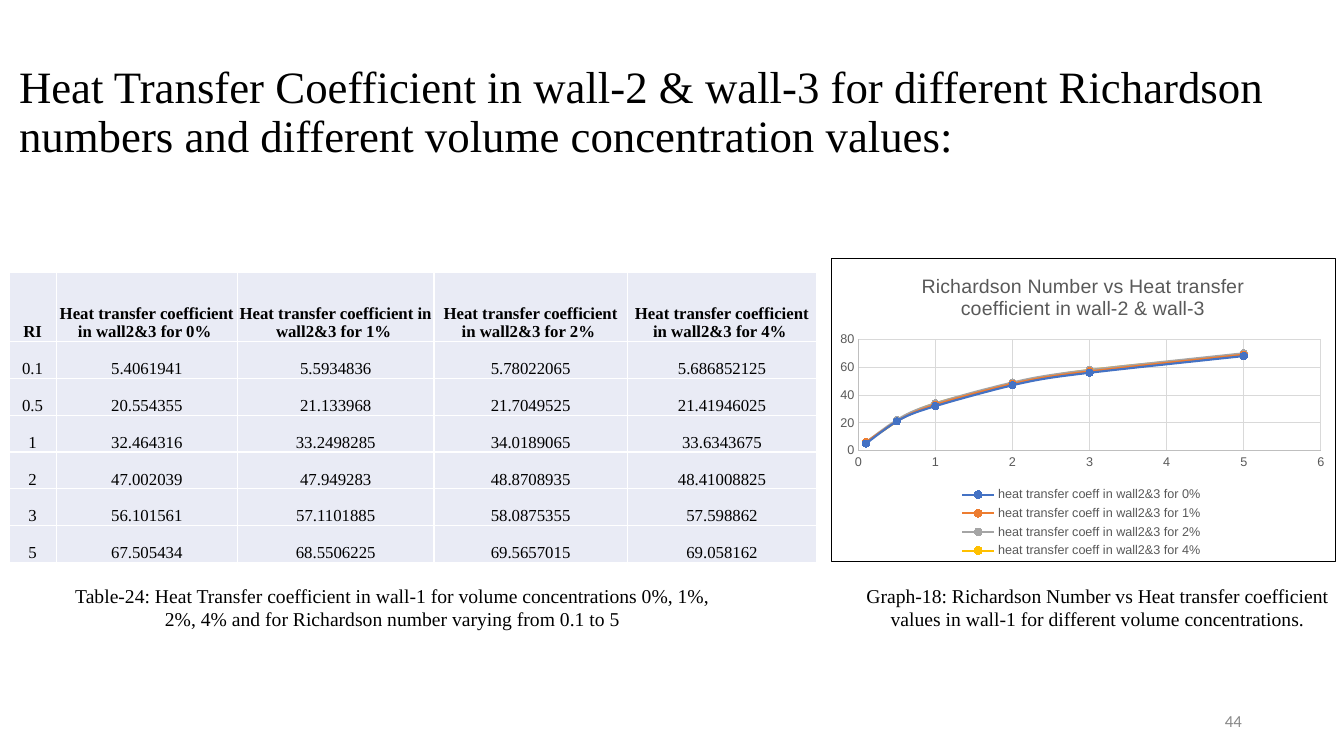
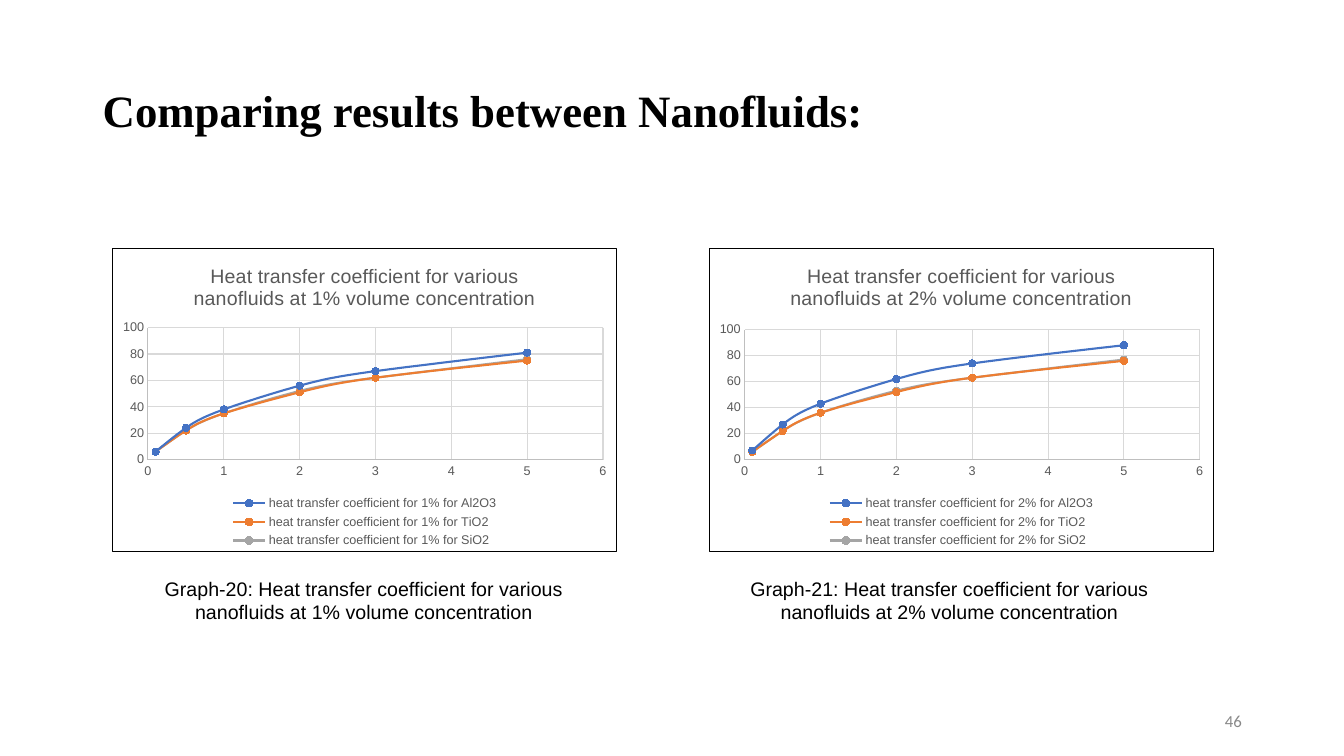
from lxml import etree
from pptx import Presentation
from pptx.chart.data import XyChartData
from pptx.dml.color import RGBColor
from pptx.enum.chart import XL_CHART_TYPE, XL_LEGEND_POSITION, XL_MARKER_STYLE, XL_TICK_MARK
from pptx.enum.text import MSO_ANCHOR, PP_ALIGN
from pptx.oxml import parse_xml
from pptx.oxml.ns import nsdecls, qn
from pptx.util import Inches, Pt

# Shared look
COLORS = {
    "text": "000000", "number": "888888", "chart text": "595959",
    "axis": "BFBFBF", "grid": "D9D9D9", "cell": "E9EBF5", "white": "FFFFFF",
}
SERIES_COLORS = ["4472C4", "ED7D31", "A5A5A5", "FFC000"]
SERIF, SANS, NUMBER_FONT = "Times New Roman", "Arial", "Calibri"

presentation = Presentation()
presentation.slide_width = Inches(13.33)
presentation.slide_height = Inches(7.5)
blank_layout = presentation.slide_layouts[6]

# Every box is (left, top, width, height) on a grid of 80 columns by 45 rows
COLUMN = presentation.slide_width / 80
ROW = presentation.slide_height / 45
TITLE_TOP, TITLE_HEIGHT = 2.4, 8.7
NUMBER_BOX = (56.52, 41.7, 18, 2.4)
CHART_WIDTH, CHART_HEIGHT = 30.06, 18.1


def add_text(slide, box, text, font, size, color="text", bold=False,
             align=PP_ALIGN.CENTER, anchor=MSO_ANCHOR.TOP, line_spacing=1.0):
    left, top, width, height = box
    shape = slide.shapes.add_textbox(round(left * COLUMN), round(top * ROW),
                                     round(width * COLUMN), round(height * ROW))
    frame = shape.text_frame
    frame.word_wrap = True
    frame.vertical_anchor = anchor
    paragraph = frame.paragraphs[0]
    paragraph.alignment = align
    paragraph.line_spacing = line_spacing
    run = paragraph.add_run()
    run.text = text
    run.font.name = font
    run.font.size = Pt(size)
    run.font.bold = bold
    run.font.color.rgb = RGBColor.from_string(COLORS[color])


def add_scatter(slide, left, top, title, series_values, value_max, plot_box):
    data = XyChartData()
    for name, values in series_values.items():
        series = data.add_series(name)
        for x, y in zip(RICHARDSON, values):
            series.add_data_point(x, round(y))
    chart = slide.shapes.add_chart(
        XL_CHART_TYPE.XY_SCATTER_SMOOTH, round(left * COLUMN), round(top * ROW),
        round(CHART_WIDTH * COLUMN), round(CHART_HEIGHT * ROW), data).chart
    gray = RGBColor.from_string(COLORS["chart text"])
    chart.font.name = SANS
    chart.font.size = Pt(9)
    chart.font.color.rgb = gray

    # Title and legend
    chart.has_title = True
    run = chart.chart_title.text_frame.paragraphs[0].add_run()
    run.text = title
    run.font.name = SANS
    run.font.size = Pt(14)
    run.font.bold = False
    run.font.color.rgb = gray
    chart.has_legend = True
    chart.legend.position = XL_LEGEND_POSITION.BOTTOM
    chart.legend.include_in_layout = False

    # Axes
    for axis, maximum, step in ((chart.category_axis, 6, 1), (chart.value_axis, value_max, 20)):
        axis.minimum_scale = 0
        axis.maximum_scale = maximum
        axis.major_unit = step
        axis.major_tick_mark = axis.minor_tick_mark = XL_TICK_MARK.NONE
        axis.has_major_gridlines = True
        for line, color in ((axis.format.line, "axis"), (axis.major_gridlines.format.line, "grid")):
            line.color.rgb = RGBColor.from_string(COLORS[color])
            line.width = Pt(0.75)

    # Series
    plot = chart.plots[0]
    plot.vary_by_categories = False
    for series, color in zip(plot.series, SERIES_COLORS):
        rgb = RGBColor.from_string(color)
        series._element.get_or_add_smooth().val = True
        series.format.line.color.rgb = rgb
        series.format.line.width = Pt(1.5)
        series.marker.style = XL_MARKER_STYLE.CIRCLE
        series.marker.size = 5
        series.marker.format.fill.solid()
        series.marker.format.fill.fore_color.rgb = rgb
        series.marker.format.line.color.rgb = rgb

    # Plot area as shares of the chart, then the frame around the chart
    plot_area = chart.plots._plotArea
    for old_layout in plot_area.findall(qn("c:layout")):
        plot_area.remove(old_layout)
    layout = parse_xml(f'<c:layout {nsdecls("c")}><c:manualLayout/></c:layout>')
    settings = [("layoutTarget", "inner"), ("xMode", "edge"), ("yMode", "edge")]
    for tag, value in settings + list(zip("xywh", plot_box)):
        etree.SubElement(layout[0], qn(f"c:{tag}")).set("val", str(value))
    plot_area.insert(0, layout)
    chart._chartSpace.find(qn("c:chart")).addnext(parse_xml(
        f'<c:spPr {nsdecls("c", "a")}>'
        f'<a:solidFill><a:srgbClr val="{COLORS["white"]}"/></a:solidFill>'
        f'<a:ln w="{Pt(0.75)}"><a:solidFill><a:srgbClr val="{COLORS["text"]}"/></a:solidFill></a:ln>'
        '</c:spPr>'))


# Titles and slide numbers
slides = []
for title, left, width, bold, number in (
    ("Heat Transfer Coefficient in wall-2 & wall-3 for different Richardson numbers "
     "and different volume concentration values:", 0.54, 79.44, False, "44"),
    ("Comparing results between Nanofluids:", 5.52, 69, True, "46"),
):
    slide = presentation.slides.add_slide(blank_layout)
    add_text(slide, (left, TITLE_TOP, width, TITLE_HEIGHT), title, SERIF, 32, bold=bold,
             align=PP_ALIGN.LEFT, anchor=MSO_ANCHOR.MIDDLE, line_spacing=0.9)
    add_text(slide, NUMBER_BOX, number, NUMBER_FONT, 12, "number",
             align=PP_ALIGN.RIGHT, anchor=MSO_ANCHOR.MIDDLE)
    slides.append(slide)
wall_slide, nanofluid_slide = slides

# Wall slide: data
RICHARDSON = [0.1, 0.5, 1, 2, 3, 5]
wall_coefficients = {
    "0%": [5.4061941, 20.554355, 32.464316, 47.002039, 56.101561, 67.505434],
    "1%": [5.5934836, 21.133968, 33.2498285, 47.949283, 57.1101885, 68.5506225],
    "2%": [5.78022065, 21.7049525, 34.0189065, 48.8708935, 58.0875355, 69.5657015],
    "4%": [5.686852125, 21.41946025, 33.6343675, 48.41008825, 57.598862, 69.058162],
}

# Wall slide: table
header = ["RI"] + [f"Heat transfer coefficient in wall2&3 for {share} " for share in wall_coefficients]
table_rows = [header, *zip(RICHARDSON, *wall_coefficients.values())]
column_widths = [2.8, 10.8, 11.7, 11.5, 11.28]
row_heights = [4.14] + [2.19] * len(RICHARDSON)
table = wall_slide.shapes.add_table(
    len(table_rows), len(header), round(0.54 * COLUMN), round(16.2 * ROW),
    round(sum(column_widths) * COLUMN), round(sum(row_heights) * ROW)).table
table.first_row = table.horz_banding = False
for column, width in zip(table.columns, column_widths):
    column.width = round(width * COLUMN)
for row_index, (row, height) in enumerate(zip(table.rows, row_heights)):
    row.height = round(height * ROW)
    for cell, value in zip(row.cells, table_rows[row_index]):
        cell.margin_left = cell.margin_right = cell.margin_top = Inches(0.01)
        cell.margin_bottom = 0
        cell.vertical_anchor = MSO_ANCHOR.BOTTOM
        for side in "LRTB":
            cell._tc.get_or_add_tcPr().append(parse_xml(
                f'<a:ln{side} {nsdecls("a")} w="{Pt(1)}"><a:solidFill>'
                f'<a:srgbClr val="{COLORS["white"]}"/></a:solidFill></a:ln{side}>'))
        cell.fill.solid()
        cell.fill.fore_color.rgb = RGBColor.from_string(COLORS["cell"])
        paragraph = cell.text_frame.paragraphs[0]
        paragraph.alignment = PP_ALIGN.CENTER
        run = paragraph.add_run()
        run.text = str(value)
        run.font.name = SERIF
        run.font.size = Pt(12)
        run.font.bold = row_index == 0
        run.font.color.rgb = RGBColor.from_string(COLORS["text"])

# Wall slide: chart and captions
add_scatter(wall_slide, 49.44, 15.38,
            "Richardson Number vs Heat transfer coefficient in wall-2 & wall-3",
            {f"heat transfer coeff in wall2&3 for {share} ": values
             for share, values in wall_coefficients.items()},
            80, (0.054, 0.266, 0.918, 0.367))
add_text(wall_slide, (3.36, 34.44, 40.02, 3.42),
         "Table-24: Heat Transfer coefficient in wall-1 for volume concentrations 0%, 1%, 2%, 4% "
         "and for Richardson number varying from 0.1 to 5", SERIF, 14)
add_text(wall_slide, (50.7, 34.44, 29.28, 3.42),
         "Graph-18: Richardson Number vs Heat transfer coefficient values in wall-1 "
         "for different volume concentrations.", SERIF, 14)

# Nanofluid slide: one chart and caption for each concentration
for share, graph, chart_left, caption_left, plot_box, coefficients in (
    ("1%", "Graph-20", 6.68, 7.86, (0.07, 0.26, 0.903, 0.436), {
        "Al2O3": [6, 24, 38, 56, 67, 81],
        "TiO2": [6, 22, 35, 51, 62, 75],
        "SiO2": [6, 22, 35, 52, 62, 76]}),
    ("2%", "Graph-21", 42.2, 42.72, (0.07, 0.267, 0.903, 0.429), {
        "Al2O3": [7, 27, 43, 62, 74, 88],
        "TiO2": [6, 22, 36, 52, 63, 76],
        "SiO2": [6, 22, 36, 53, 63, 77]}),
):
    heading = f"Heat transfer coefficient for various nanofluids at {share} volume concentration"
    add_scatter(nanofluid_slide, chart_left, 14.78, heading,
                {f"heat transfer coefficient for {share} for {fluid}": values
                 for fluid, values in coefficients.items()},
                100, plot_box)
    add_text(nanofluid_slide, (caption_left, 34.02, 27.6, 4.98), f"{graph}: {heading}", SANS, 14)

presentation.save("out.pptx")
